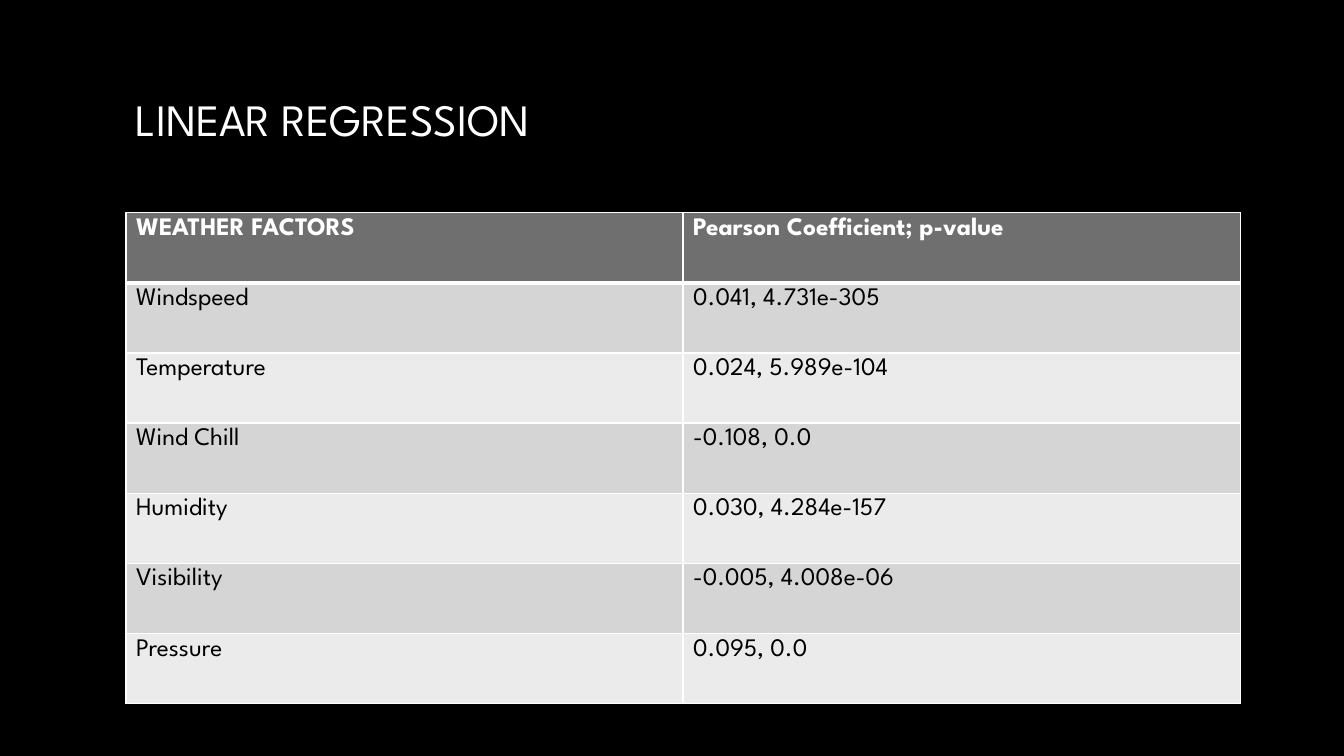
from lxml.etree import SubElement
from pptx import Presentation
from pptx.dml.color import RGBColor
from pptx.enum.text import MSO_ANCHOR
from pptx.oxml.ns import qn
from pptx.util import Inches, Pt

BLACK = RGBColor(0x00, 0x00, 0x00)
WHITE = RGBColor(0xFF, 0xFF, 0xFF)
HEAD = RGBColor(0x6F, 0x6F, 0x6F)
DARK = RGBColor(0xD5, 0xD5, 0xD5)
LIGHT = RGBColor(0xEB, 0xEB, 0xEB)

ROWS = [
    ("WEATHER FACTORS", "Pearson Coefficient; p-value"),
    ("Windspeed", "0.041, 4.731e-305"),
    ("Temperature", "0.024, 5.989e-104"),
    ("Wind Chill", "-0.108, 0.0"),
    ("Humidity", "0.030, 4.284e-157"),
    ("Visibility", "-0.005, 4.008e-06"),
    ("Pressure", "0.095, 0.0"),
]


class Deck:
    """Hold the slide and its style, and add titles and tables to it."""

    font = "League Spartan"

    def __init__(self, slide):
        self.slide = slide
        fill = slide.background.fill
        fill.solid()
        fill.fore_color.rgb = BLACK

    def label(self, frame, text, size, color, bold=False):
        run = frame.paragraphs[0].add_run()
        run.text = text
        font = run.font
        font.name, font.size, font.bold = self.font, Pt(size), bold
        font.color.rgb = color

    def title(self, text, left, top, width, height):
        box = self.slide.shapes.add_textbox(
            Inches(left), Inches(top), Inches(width), Inches(height))
        frame = box.text_frame
        frame.word_wrap = True
        frame.vertical_anchor = MSO_ANCHOR.MIDDLE
        self.label(frame, text, 32, WHITE)

    def border(self, cell, side, width):
        props = cell._tc.get_or_add_tcPr()
        line = SubElement(props, qn(f"a:ln{side}"), w=str(Pt(width)))
        fill = SubElement(line, qn("a:solidFill"))
        SubElement(fill, qn("a:srgbClr"), val=str(WHITE))

    def table(self, rows, left, top, width, height):
        table = self.slide.shapes.add_table(
            len(rows), len(rows[0]), Inches(left), Inches(top),
            Inches(width), Inches(height)).table
        for r, row in enumerate(rows):
            for c, text in enumerate(row):
                cell = table.cell(r, c)
                for side in "LRTB":
                    thick = (r, side) in ((0, "B"), (1, "T"))
                    self.border(cell, side, 3 if thick else 1)
                cell.fill.solid()
                band = DARK if r % 2 else LIGHT
                cell.fill.fore_color.rgb = band if r else HEAD
                self.label(cell.text_frame, text, 18,
                           BLACK if r else WHITE, r == 0)


show = Presentation()
show.slide_width, show.slide_height = Inches(13.33), Inches(7.5)
deck = Deck(show.slides.add_slide(show.slide_layouts[6]))
deck.title("LINEAR REGRESSION", 1.25, 0.46, 10.81, 1.44)
deck.table(ROWS, 1.25, 2.11, 11.05, 4.87)
show.save("out.pptx")
